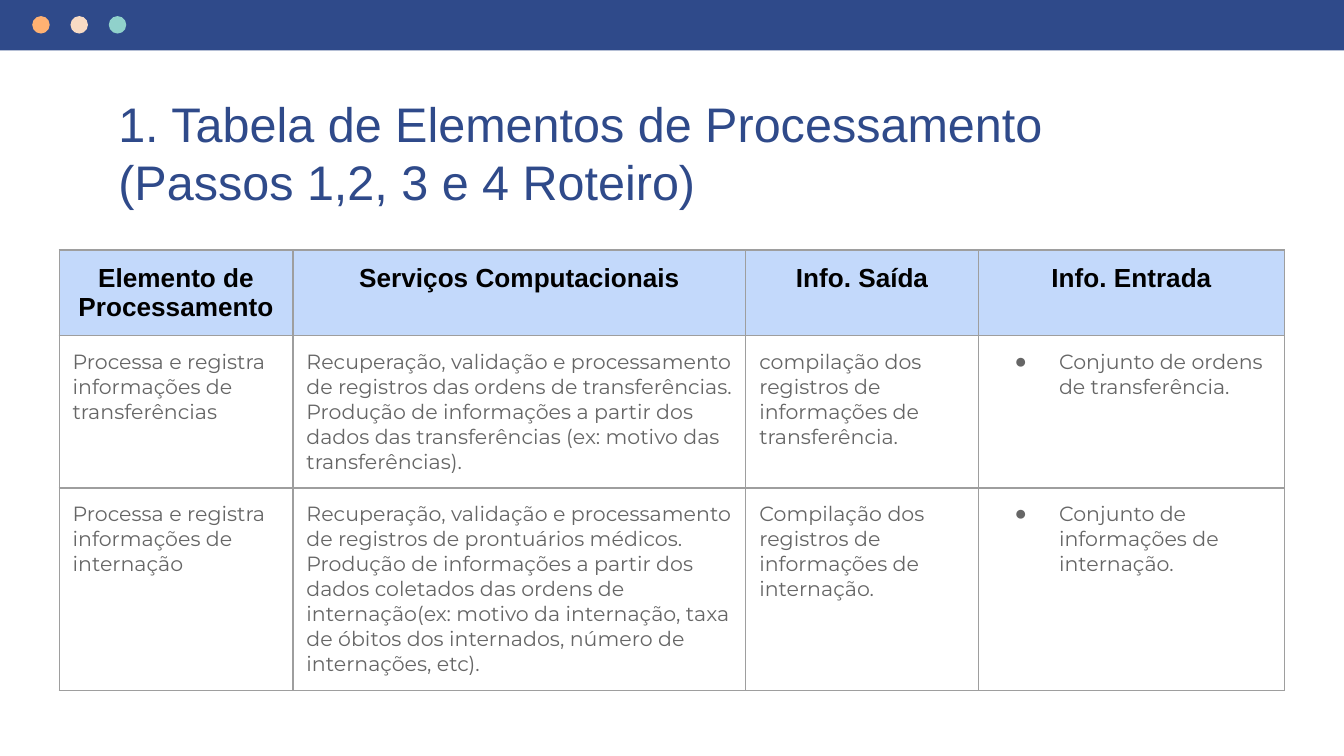
from lxml.etree import SubElement
from pptx import Presentation
from pptx.dml.color import RGBColor
from pptx.enum.shapes import MSO_SHAPE as SHAPE
from pptx.enum.text import MSO_ANCHOR as ANCHOR, PP_ALIGN as ALIGN
from pptx.oxml.ns import qn
from pptx.util import Inches, Pt

WIDTH = 10
HEIGHT = WIDTH * 9 / 16
COLORS = {
    "navy": "2F4A8A", "orange": "FFB172", "cream": "F8DBC4", "teal": "90D1CB",
    "header": "C3D9FB", "border": "9E9E9E", "body": "666666", "black": "000000",
}
INSET = 0.1
TABLE_LEFT, TABLE_TOP = 0.44, 1.86
COLUMNS = [1.74, 3.37, 1.73, 2.28]
ROW_HEIGHT = 0.5
BULLET_COLUMN = 3
ROWS = [
    ["Elemento de Processamento", "Serviços Computacionais",
     "Info. Saída", "Info. Entrada"],
    ["Processa e registra informações de transferências",
     "Recuperação, validação e processamento de registros das ordens de "
     "transferências. Produção de informações a partir dos dados das "
     "transferências (ex: motivo das transferências).",
     "compilação dos registros de informações de transferência.",
     "Conjunto de ordens de transferência."],
    ["Processa e registra informações de internação",
     "Recuperação, validação e processamento de registros de prontuários "
     "médicos. Produção de informações a partir dos dados coletados das ordens "
     "de internação(ex: motivo da internação, taxa de óbitos dos internados, "
     "número de internações, etc).",
     "Compilação dos registros de informações de internação.",
     "Conjunto de informações de internação."],
]


def rgb(name):
    return RGBColor.from_string(COLORS[name])


def set_font(p, size, name, color, bold=False):
    for r in p.runs:
        r.font.size, r.font.name, r.font.bold = Pt(size), name, bold
        r.font.color.rgb = rgb(color)


def set_insets(box):
    box.margin_left = box.margin_right = Inches(INSET)
    box.margin_top = box.margin_bottom = Inches(INSET)


def add_filled(s, kind, left, top, width, height, color):
    sp = s.shapes.add_shape(
        kind, Inches(left), Inches(top), Inches(width), Inches(height))
    sp.shadow.inherit = False
    sp.fill.solid()
    sp.fill.fore_color.rgb = rgb(color)
    sp.line.fill.background()


def add_top_bar(s):
    size, pitch = 0.13, 0.57 / 2
    add_filled(s, SHAPE.RECTANGLE, 0, 0, WIDTH, HEIGHT / 15, "navy")
    for i, color in enumerate(["orange", "cream", "teal"]):
        add_filled(s, SHAPE.OVAL, 0.24 + i * pitch, 0.12, size, size, color)


def fill_title(s, text):
    sp = s.shapes.title
    sp.left, sp.top = Inches(0.78), Inches(0.6)
    sp.width, sp.height = Inches(8.44), Inches(0.51)
    tf = sp.text_frame
    tf.text = text
    tf.word_wrap = True
    tf.vertical_anchor = ANCHOR.TOP
    set_insets(tf)
    p = tf.paragraphs[0]
    p.alignment = ALIGN.LEFT
    set_font(p, 26, "Arial", "navy")


def add_bullet(p):
    pPr = p._p.get_or_add_pPr()
    pPr.set("marL", str(Inches(0.5)))
    pPr.set("indent", str(Inches(-0.33)))
    color = SubElement(pPr, qn("a:buClr"))
    SubElement(color, qn("a:srgbClr"), val=COLORS["body"])
    SubElement(pPr, qn("a:buFont"), typeface="Arial")
    SubElement(pPr, qn("a:buChar"), char="●")


def set_borders(cell):
    """Outline a cell; call before its fill is set, as lines come first."""
    tcPr = cell._tc.get_or_add_tcPr()
    for side in ("a:lnL", "a:lnR", "a:lnT", "a:lnB"):
        line = SubElement(tcPr, qn(side), w=str(Pt(0.75)))
        fill = SubElement(line, qn("a:solidFill"))
        SubElement(fill, qn("a:srgbClr"), val=COLORS["border"])


def fill_cell(cell, text, is_header, has_bullet):
    cell.text = text
    set_insets(cell)
    set_borders(cell)
    p = cell.text_frame.paragraphs[0]
    if is_header:
        cell.fill.solid()
        cell.fill.fore_color.rgb = rgb("header")
        p.alignment = ALIGN.CENTER
        set_font(p, 14, "Arial", "black", bold=True)
    else:
        cell.fill.background()
        if has_bullet:
            add_bullet(p)
        set_font(p, 11, "Montserrat", "body")


def add_elements_table(s):
    table = s.shapes.add_table(
        len(ROWS), len(COLUMNS), Inches(TABLE_LEFT), Inches(TABLE_TOP),
        Inches(sum(COLUMNS)), Inches(ROW_HEIGHT * len(ROWS))).table
    table.horz_banding = False
    for column, width in zip(table.columns, COLUMNS):
        column.width = Inches(width)
    for i, texts in enumerate(ROWS):
        table.rows[i].height = Inches(ROW_HEIGHT)
        for j, text in enumerate(texts):
            fill_cell(table.cell(i, j), text, i == 0, j == BULLET_COLUMN)


def main():
    prs = Presentation()
    prs.slide_width, prs.slide_height = Inches(WIDTH), Inches(HEIGHT)
    s = prs.slides.add_slide(prs.slide_layouts[5])
    add_top_bar(s)
    fill_title(s, "1. Tabela de Elementos de Processamento "
                  "(Passos 1,2, 3 e 4 Roteiro)")
    add_elements_table(s)
    prs.save("out.pptx")


if __name__ == "__main__":
    main()
